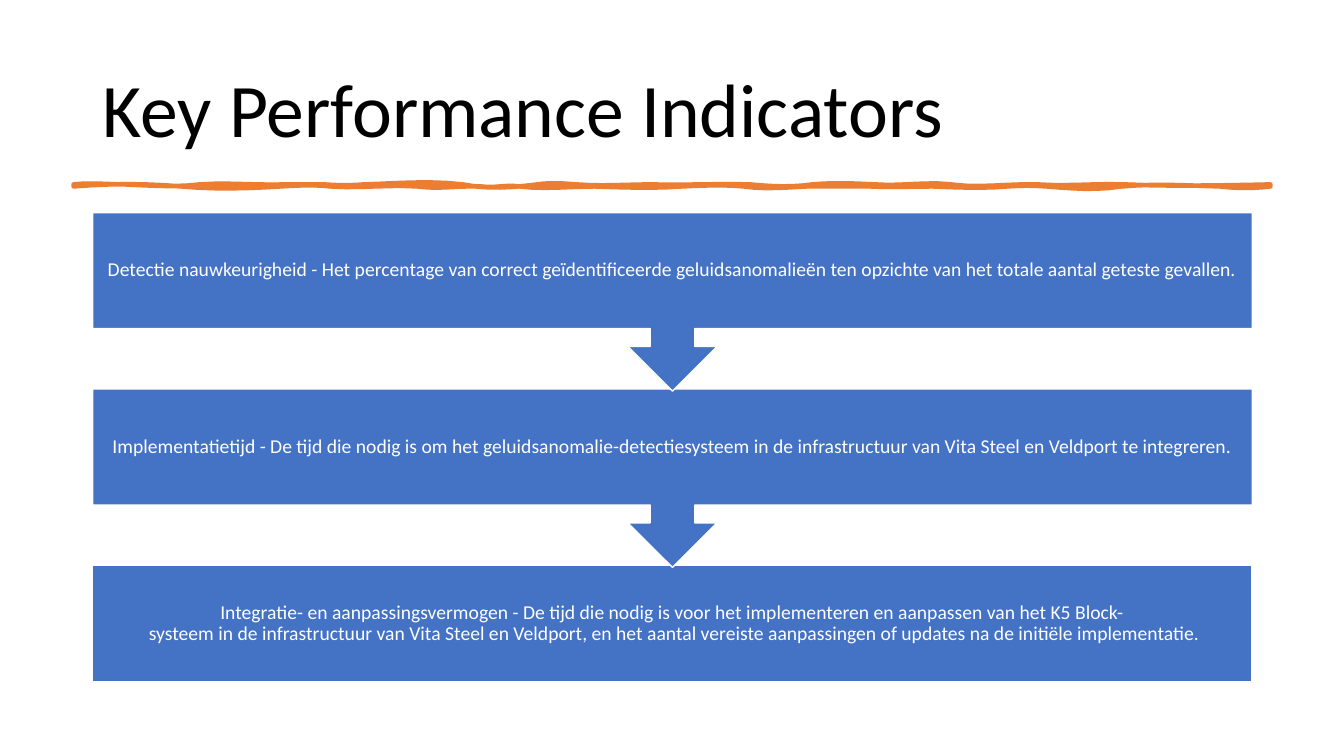
from dataclasses import dataclass

from pptx import Presentation
from pptx.dml.color import RGBColor
from pptx.enum.shapes import MSO_SHAPE
from pptx.enum.text import MSO_ANCHOR, PP_ALIGN
from pptx.util import Inches, Pt

FONT = "Calibri"
BLUE, ORANGE, WHITE, BLACK = "4472C4", "ED7D31", "FFFFFF", "000000"
NO_BREAK_SPACE = chr(160)

LEFT, WIDTH = 0.92, 11.5
FIRST_TOP, STEP = 2.11, 1.75
BOX_HEIGHT, CALLOUT_HEIGHT = 1.15, 1.77
CURVE_STEPS = 6


@dataclass
class Indicator:
    text: str
    has_arrow: bool = True


@dataclass
class Wave:
    """One brush curve: its end, and two bends in hundredths of an inch."""
    end: float
    first_bend: int
    second_bend: int


INDICATORS = [
    Indicator("Detectie nauwkeurigheid - Het percentage van correct geïdentificeerde "
              "geluidsanomalieën ten opzichte van het totale aantal geteste gevallen."),
    Indicator("Implementatietijd - De tijd die nodig is om het geluidsanomalie-detectiesysteem "
              "in de infrastructuur van Vita Steel en Veldport te integreren."),
    Indicator("Integratie- en aanpassingsvermogen - De tijd die nodig is voor het implementeren "
              "en aanpassen van het K5 Block- systeem in de infrastructuur van Vita Steel en "
              "Veldport, en het aantal vereiste aanpassingen of updates na de initiële "
              "implementatie.", has_arrow=False),
]

BRUSH_LEFT, BRUSH_RIGHT = 0.73, 12.6
BRUSH_TOP, BRUSH_BOTTOM = 1.83, 1.85
TOP_WAVES = [
    Wave(1.24, -2, 0), Wave(1.98, 1, 3), Wave(2.84, -2, 1), Wave(3.22, 0, 0),
    Wave(3.61, 1, 1), Wave(4.59, -1, -4), Wave(5.33, 5, 3), Wave(5.72, -2, -1),
    Wave(6.46, 2, 0), Wave(7.44, 1, -1), Wave(8.06, 2, 3), Wave(8.68, -2, -1),
    Wave(9.43, 2, -3), Wave(10.29, 4, -1), Wave(11.15, 2, -1), Wave(BRUSH_RIGHT, 2, 1),
]
BOTTOM_WAVES = [
    Wave(12.1, 2, 2), Wave(11.12, -1, -3), Wave(10.38, 4, 2), Wave(9.99, -1, -1),
    Wave(9.25, 2, 1), Wave(8.63, 0, 1), Wave(8, 0, 0), Wave(7.38, 1, 3),
    Wave(6.76, -2, -1), Wave(5.9, 2, 1), Wave(5.15, 0, 3), Wave(4.77, -2, 2),
    Wave(4.14, -1, 3), Wave(3.28, -2, 2), Wave(2.78, -2, -1), Wave(1.8, 2, 3),
    Wave(BRUSH_LEFT, -3, -3),
]


def color(value: str) -> RGBColor:
    return RGBColor.from_string(value)


def paint(shape, fill: str, line: str, line_width: float) -> None:
    shape.shadow.inherit = False
    shape.fill.solid()
    shape.fill.fore_color.rgb = color(fill)
    shape.line.color.rgb = color(line)
    shape.line.width = Pt(line_width)


def format_paragraph(para, size: float, text_color: str, align: PP_ALIGN) -> None:
    para.alignment = align
    para.line_spacing = 0.9
    para.font.name = FONT
    para.font.size = Pt(size)
    para.font.color.rgb = color(text_color)


def edge_points(start: float, base: float, waves: list[Wave]) -> list[tuple[int, int]]:
    """Sample the cubic curves along one edge of the brush stroke."""
    points = []
    for wave in waves:
        for step in range(1, CURVE_STEPS + 1):
            t = step / CURVE_STEPS
            bend = 3 * t * (1 - t) * ((1 - t) * wave.first_bend + t * wave.second_bend)
            points.append((Inches(start + t * (wave.end - start)), Inches(base + bend / 100)))
        start = wave.end
    return points


def add_title(page, text: str) -> None:
    title = page.shapes.title
    title.left, title.top = Inches(LEFT), Inches(0.4)
    title.width, title.height = Inches(WIDTH), Inches(1.45)
    title.text_frame.text = text
    title.text_frame.vertical_anchor = MSO_ANCHOR.MIDDLE
    format_paragraph(title.text_frame.paragraphs[0], 54, BLACK, PP_ALIGN.LEFT)


def add_brush_stroke(page) -> None:
    builder = page.shapes.build_freeform(Inches(BRUSH_LEFT), Inches(BRUSH_TOP))
    builder.add_line_segments(edge_points(BRUSH_LEFT, BRUSH_TOP, TOP_WAVES), close=False)
    builder.add_line_segments([(Inches(BRUSH_RIGHT), Inches(BRUSH_BOTTOM))], close=False)
    builder.add_line_segments(edge_points(BRUSH_RIGHT, BRUSH_BOTTOM, BOTTOM_WAVES), close=True)
    paint(builder.convert_to_shape(), ORANGE, ORANGE, 3.25)


def add_indicator(page, indicator: Indicator, top: float) -> None:
    kind = MSO_SHAPE.DOWN_ARROW_CALLOUT if indicator.has_arrow else MSO_SHAPE.RECTANGLE
    height = CALLOUT_HEIGHT if indicator.has_arrow else BOX_HEIGHT
    box = page.shapes.add_shape(kind, Inches(LEFT), Inches(top), Inches(WIDTH), Inches(height))
    paint(box, BLUE, WHITE, 1)
    frame = box.text_frame
    frame.word_wrap = True
    frame.vertical_anchor = MSO_ANCHOR.MIDDLE
    frame.margin_left = frame.margin_right = Inches(0.11)
    frame.margin_top = frame.margin_bottom = Inches(0.11)
    # Lines may only break after hyphens
    frame.text = indicator.text.replace(" ", NO_BREAK_SPACE)
    format_paragraph(frame.paragraphs[0], 14, WHITE, PP_ALIGN.CENTER)


def main() -> None:
    deck = Presentation()
    deck.slide_width, deck.slide_height = Inches(13.33), Inches(7.5)
    page = deck.slides.add_slide(deck.slide_layouts[5])

    # Heading
    add_title(page, "Key Performance Indicators")
    add_brush_stroke(page)

    # Indicators, from the bottom up so that each arrow tip lies on the next box
    for index, indicator in reversed(list(enumerate(INDICATORS))):
        add_indicator(page, indicator, FIRST_TOP + index * STEP)

    deck.save("out.pptx")


if __name__ == "__main__":
    main()
